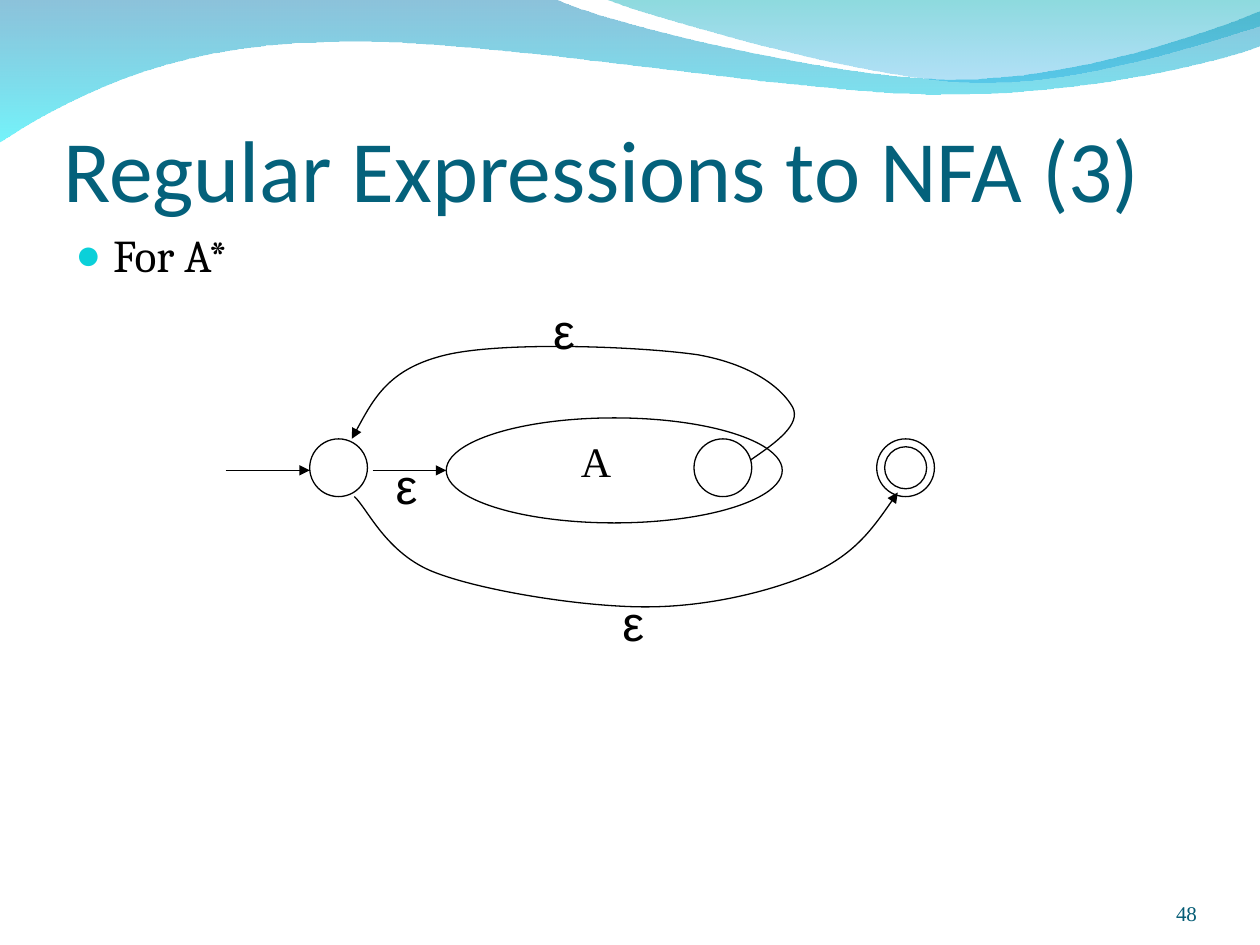
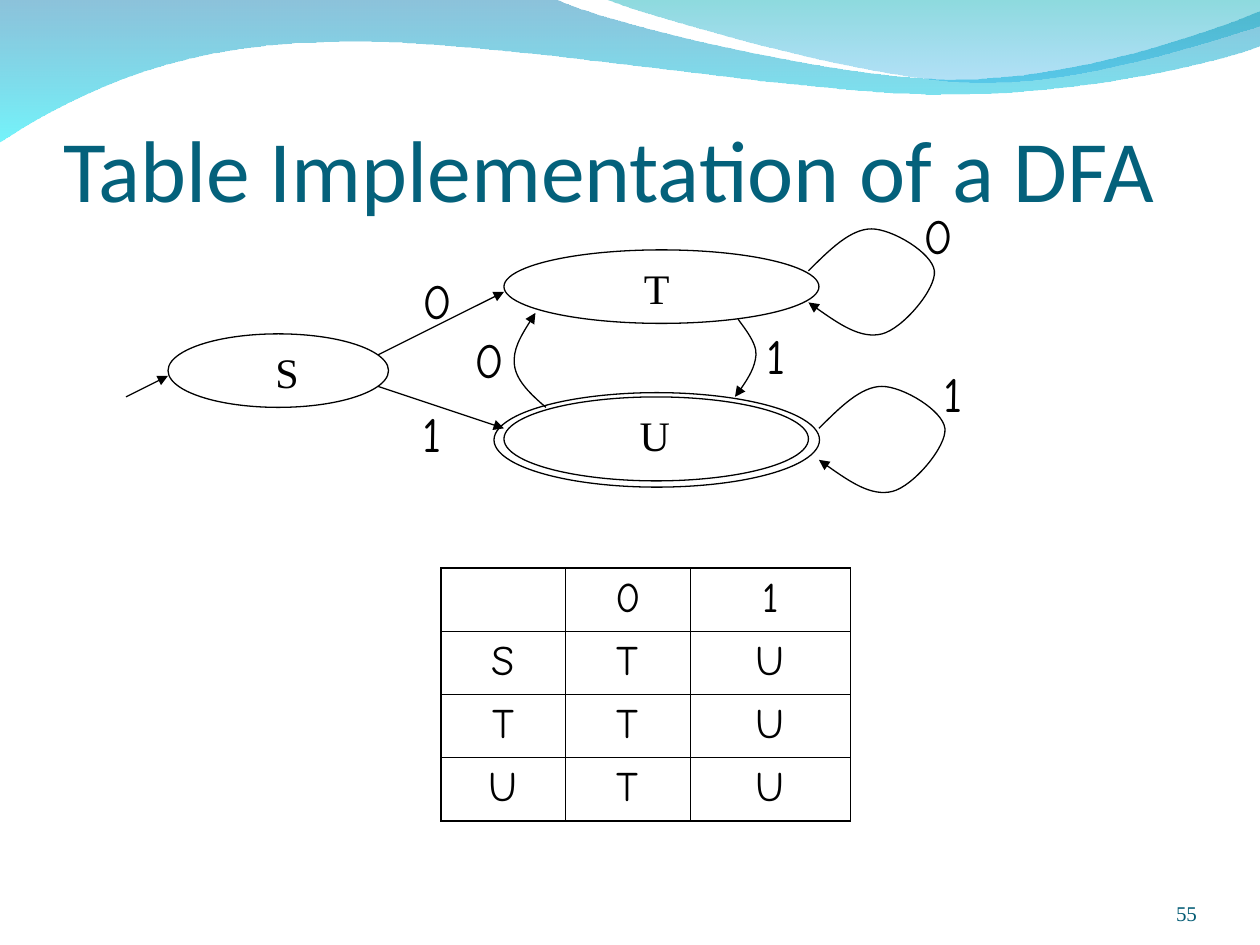
from itertools import product

from lxml.etree import SubElement
from pptx import Presentation
from pptx.dml.color import RGBColor
from pptx.enum.shapes import MSO_CONNECTOR, MSO_SHAPE
from pptx.enum.text import MSO_ANCHOR, MSO_AUTO_SIZE, PP_ALIGN
from pptx.oxml.ns import qn
from pptx.util import Inches, Pt

WIDTH, HEIGHT = 10, 7.5
CELL = 1 / 12
ROW_OFFSET = 0.8
BLACK = "000000"
TITLE_FONT = {"name": "Calibri", "size": Pt(50), "color": "04617B"}
NUMBER_FONT = {"name": "Times New Roman", "size": Pt(12), "color": "045C75"}
BODY_FONT = {"name": "Cambria", "size": Pt(26), "color": BLACK}
STATE_FONT = {"name": "Times New Roman", "size": Pt(24), "color": BLACK}
EPSILON_FONT = {"name": "Arial", "size": Pt(28), "color": BLACK}
INPUT_FONT = {"name": "Comic Neue", "size": Pt(28), "color": BLACK}
TABLE_FONT = {"name": "Comic Neue", "size": Pt(24), "color": BLACK}
NO_MARGINS = {"margin_left": 0, "margin_top": 0, "margin_right": 0, "margin_bottom": 0}

WAVES = [
    (
        [
            [(0, -0.1)],
            [(44, -0.1), (47.6, 2.3), (66.4, 8.4), (75.8, 8.4),
             (85.3, 8.4), (95.8, 3.5), (100, 1.2)],
            [(100.1, 4.8), (98.3, 5.9), (87, 10.1), (74.6, 10),
             (62.2, 10), (38.2, 3.7), (25.7, 4.5),
             (12.9, 4.7), (4.6, 11.1), (-0.1, 15.1)],
        ],
        [("0079AF", 45), ("00EBF8", 55)],
    ),
    (
        [
            [(47.9, -0.1), (50.9, 1.5), (68.2, 8.3), (76.9, 8.7),
             (85.6, 9.2), (96.1, 4.3), (100, 2.8)],
            [(100, 0)],
        ],
        [("00ADB6", 45), ("009BE5", 30)],
    ),
]
LOOP = [(0, 0), (2, -2), (4, -4), (6, -4), (8, -4), (11.8, -1.7), (12, 0),
        (12.2, 1.7), (9, 5.5), (7, 6), (5, 6.5), (2.5, 4.8), (0, 3)]


def color(value):
    return RGBColor.from_string(value)


def on_grid(column, row):
    return Inches(column * CELL), Inches((row + ROW_OFFSET) * CELL)


def on_slide(x_percent, y_percent):
    return Inches(WIDTH * x_percent / 100), Inches(HEIGHT * y_percent / 100)


def apply_format(target, values):
    for name, value in values.items():
        if name == "color":
            target.color.rgb = color(value)
        else:
            setattr(target, name, value)


def write(shape, text, font, frame_format, alignment=PP_ALIGN.LEFT):
    frame = shape.text_frame
    apply_format(frame, frame_format)
    paragraph = frame.paragraphs[0]
    paragraph.text = text
    paragraph.alignment = alignment
    apply_format(paragraph.runs[0].font, font)
    return paragraph


def outline(shape, arrow=False):
    shape.line.color.rgb = color(BLACK)
    shape.line.width = Pt(0.75)
    if arrow:
        line = shape._element.spPr.find(qn("a:ln"))
        SubElement(line, qn("a:tailEnd"), type="triangle")


def bend(segments):
    first, *others = segments
    curve = first.getparent().makeelement(qn("a:cubicBezTo"))
    first.addprevious(curve)
    for segment in (first, *others):
        curve.append(segment[0])
        segment.getparent().remove(segment)


def add_freeform(slide, chains, close):
    points = [point for chain in chains for point in chain]
    builder = slide.shapes.build_freeform(*points[0])
    builder.add_line_segments(points[1:], close=close)
    shape = builder.convert_to_shape()
    shape.shadow.inherit = False
    segments = list(shape._element.spPr.iter(qn("a:lnTo")))
    position = 0
    for chain in chains:
        for start in range(position, position + len(chain) - 1, 3):
            bend(segments[start:start + 3])
        position += len(chain)
    return shape


def add_wave(slide, chains, stops):
    wave = add_freeform(
        slide, [[on_slide(*point) for point in chain] for chain in chains], True)
    wave.line.fill.background()
    wave.fill.gradient()
    wave.fill.gradient_angle = 270
    for stop, (value, _) in zip(wave.fill.gradient_stops, stops):
        stop.color.rgb = color(value)
    for element, (_, opacity) in zip(wave._element.spPr.iter(qn("a:srgbClr")), stops):
        SubElement(element, qn("a:alpha"), val=str(opacity * 1000))


def add_curved_arrow(slide, controls, origin=(0, 0)):
    column, row = origin
    chain = [on_grid(column + x, row + y) for x, y in controls]
    curve = add_freeform(slide, [chain], False)
    curve.fill.background()
    outline(curve, arrow=True)


def add_arrow(slide, start, end):
    connector = slide.shapes.add_connector(
        MSO_CONNECTOR.STRAIGHT, *on_grid(*start), *on_grid(*end))
    outline(connector, arrow=True)
    SubElement(connector._element.spPr, qn("a:effectLst"))


def add_state(parent, column, row, columns, rows):
    state = parent.shapes.add_shape(
        MSO_SHAPE.OVAL, *on_grid(column, row), Inches(columns * CELL), Inches(rows * CELL))
    state.shadow.inherit = False
    state.fill.background()
    outline(state)


def add_label(slide, text, column, row, columns, font):
    height = Inches(font["size"].pt / 50 + 0.02)
    box = slide.shapes.add_textbox(*on_grid(column, row), Inches(columns * CELL), height)
    write(box, text, font, {"word_wrap": False, "auto_size": MSO_AUTO_SIZE.SHAPE_TO_FIT_TEXT})


def add_bullet(slide, text):
    box = slide.shapes.add_textbox(*on_slide(5, 23.4), *on_slide(90.8, 8.9))
    paragraph = write(box, text, BODY_FONT, {"word_wrap": True})
    properties = paragraph._p.get_or_add_pPr()
    properties.set("marL", str(Inches(0.3)))
    properties.set("indent", str(-Inches(0.3)))
    bullet_color = SubElement(properties, qn("a:buClr"))
    SubElement(bullet_color, qn("a:srgbClr"), val="0BD0D9")
    SubElement(properties, qn("a:buSzPct"), val="95000")
    SubElement(properties, qn("a:buFont"), typeface="Times New Roman")
    SubElement(properties, qn("a:buChar"), char="●")


def add_slide(presentation, title_text, number):
    slide = presentation.slides.add_slide(presentation.slide_layouts[5])
    for chains, stops in WAVES:
        add_wave(slide, chains, stops)
    title = slide.shapes.title
    left, top = on_slide(5, 6.6)
    width, height = on_slide(90, 16.67)
    apply_format(title, {"left": left, "top": top, "width": width, "height": height})
    bottom = {**NO_MARGINS, "word_wrap": True, "vertical_anchor": MSO_ANCHOR.BOTTOM}
    write(title, title_text, TITLE_FONT,
          {**bottom, "margin_top": Inches(0.05), "auto_size": MSO_AUTO_SIZE.NONE})
    footer = slide.shapes.add_textbox(*on_slide(86.7, 92.67), *on_slide(8.3, 5.33))
    write(footer, number, NUMBER_FONT, bottom, PP_ALIGN.RIGHT)
    return slide


def border_cell(cell, outer_sides):
    properties = cell._tc.get_or_add_tcPr()
    for side in "LRTB":
        width = Pt(1.08 if side in outer_sides else 0.45)
        line = SubElement(properties, qn(f"a:ln{side}"), w=str(width))
        SubElement(SubElement(line, qn("a:solidFill")), qn("a:srgbClr"), val=BLACK)


def add_transition_table(slide, rows, column, row, widths, row_height):
    frame = slide.shapes.add_table(
        len(rows), len(widths), *on_grid(column, row),
        Inches(sum(widths) * CELL), Inches(len(rows) * row_height * CELL))
    table = frame.table
    apply_format(table, {"first_row": False, "horz_banding": False})
    for table_column, width in zip(table.columns, widths):
        table_column.width = Inches(width * CELL)
    last_row, last_column = len(rows) - 1, len(widths) - 1
    for r, c in product(range(len(rows)), range(len(widths))):
        cell = table.cell(r, c)
        edges = {"L": c == 0, "R": c == last_column, "T": r == 0, "B": r == last_row}
        border_cell(cell, [side for side, outer in edges.items() if outer])
        cell.fill.background()
        if rows[r][c]:
            write(cell, rows[r][c], TABLE_FONT, {}, PP_ALIGN.CENTER)


def build_star_slide(presentation):
    slide = add_slide(presentation, "Regular Expressions to NFA (3)", "48")
    add_bullet(slide, "For A*")
    add_state(slide, 42.5, 39, 32, 10)
    add_label(slide, "A", 54.15, 40.1, 5.3, STATE_FONT)
    for column in (66.1, 29.5):
        add_state(slide, column, 41, 5.5, 5.5)
    for start, end in ((35.5, 42.5), (21.5, 29.5)):
        add_arrow(slide, (start, 44), (end, 44))
    final_state = slide.shapes.add_group_shape()
    add_state(final_state, 84.25, 41.75, 4, 4)
    add_state(final_state, 83.5, 41, 5.5, 5.5)
    add_curved_arrow(slide, [
        (33.75, 46.5), (35, 47.6), (36.8, 52), (41.5, 53.75),
        (46.1, 55.5), (55.5, 57), (61.5, 57),
        (67.5, 57), (73.5, 55.5), (77.5, 53.75),
        (81.5, 51.9), (83.5, 49), (85.5, 46.1)])
    add_curved_arrow(slide, [
        (71.5, 43), (74, 41.3), (76.3, 39.6), (75.5, 38),
        (74.6, 36.4), (72, 34), (66.5, 33),
        (61, 32.2), (48, 31.7), (42.5, 33),
        (37, 34.3), (35.3, 37.7), (33.5, 41)])
    for column, row in ((36.5, 42), (58.1, 55), (51.5, 27.2)):
        add_label(slide, "ε", column, row, 4.4, EPSILON_FONT)


def build_table_slide(presentation):
    slide = add_slide(presentation, "Table Implementation of a DFA", "55")
    for state in ((16, 31, 21, 7), (48, 23, 30, 7), (48, 37, 29, 8), (47.05, 36.6, 31, 9)):
        add_state(slide, *state)
    for text, column, row, columns in (
            ("S", 25.05, 31.6, 4.6), ("T", 60.15, 23.6, 4.8), ("U", 59.75, 37.6, 5.3)):
        add_label(slide, text, column, row, columns, STATE_FONT)
    for start, end in (((12, 37), (16, 35)), ((36, 33), (48, 27)), ((36, 36), (48, 40))):
        add_arrow(slide, start, end)
    for origin in ((77, 25), (78, 40)):
        add_curved_arrow(slide, LOOP, origin)
    add_curved_arrow(slide, [
        (52, 38), (50.6, 36.8), (49.2, 35.5), (49, 34),
        (48.8, 32.5), (49.9, 30.7), (51, 29)])
    add_curved_arrow(slide, [
        (70.3, 29.6), (70.6, 30.1), (72.1, 31.8), (72, 33),
        (71.9, 34.2), (71, 35.7), (70, 37)])
    for column, row in ((39.05, 24.4), (86.8, 18.15), (44, 30)):
        add_label(slide, "0", column, row, 5.2, INPUT_FONT)
    for column, row in ((39.1, 37), (88.7, 33.2), (71.85, 29.6)):
        add_label(slide, "1", column, row, 4.2, INPUT_FONT)
    transitions = [("", "0", "1")] + [(state, "T", "U") for state in "STU"]
    add_transition_table(slide, transitions, 42, 53.3, (11.85, 11.9, 15.25), 6.02)


def main():
    presentation = Presentation()
    presentation.slide_width = Inches(WIDTH)
    presentation.slide_height = Inches(HEIGHT)
    build_star_slide(presentation)
    build_table_slide(presentation)
    presentation.save("out.pptx")


if __name__ == "__main__":
    main()
